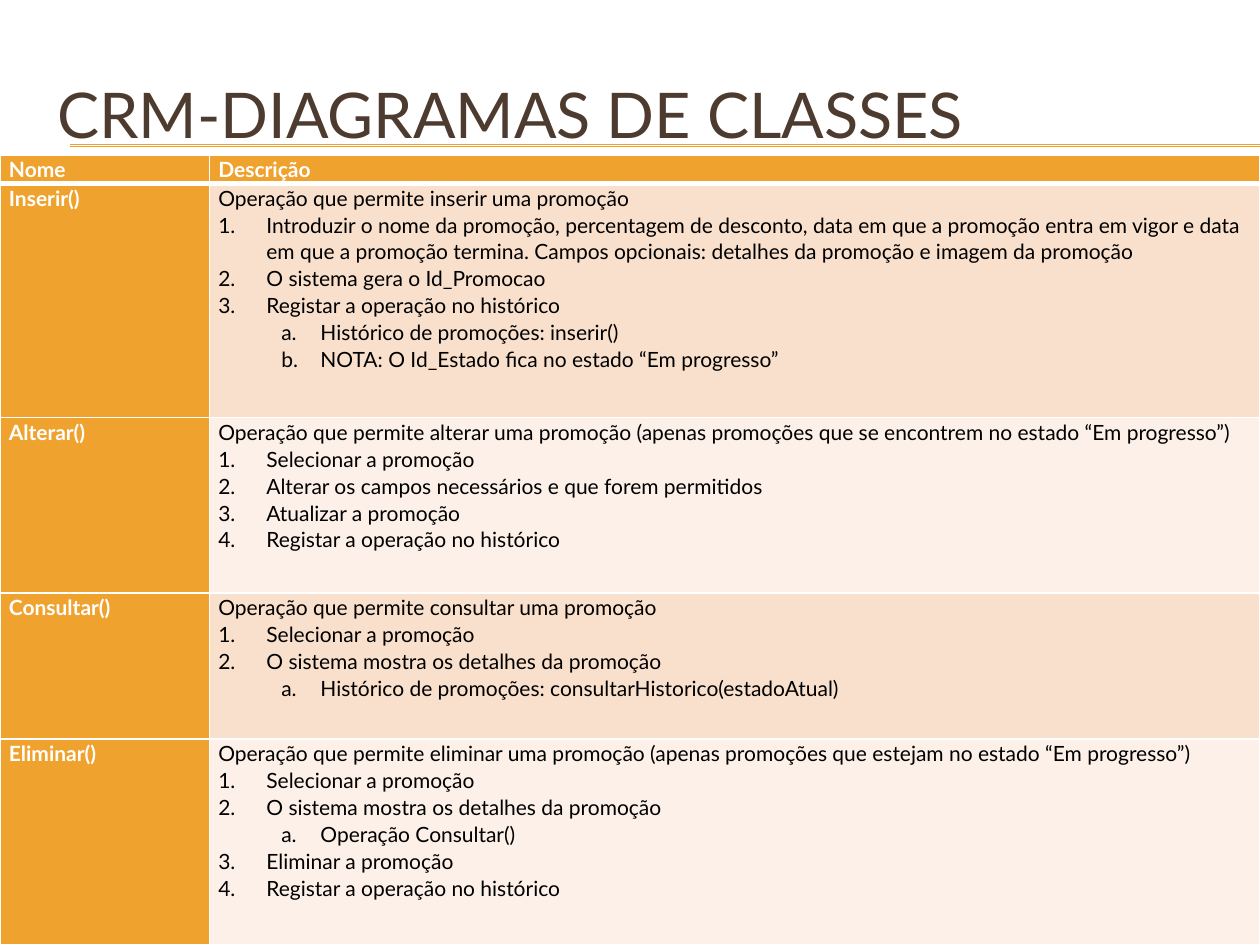
from dataclasses import dataclass

from lxml.etree import SubElement
from pptx import Presentation
from pptx.dml.color import RGBColor
from pptx.enum.text import MSO_ANCHOR as Anchor, MSO_AUTO_SIZE as AutoSize, PP_ALIGN as Align
from pptx.oxml import parse_xml
from pptx.oxml.ns import nsdecls, qn
from pptx.util import Cm, Pt


@dataclass(frozen=True)
class Theme:
    font: str = "Lato"
    title_size: int = 36
    text_size: int = 12
    accent: str = "F0A22E"
    title: str = "4E3B30"
    light: str = "FFFFFF"
    dark: str = "000000"
    bands: tuple = ("F9E0CD", "FCF0E8")
    line_spacing: float = 1.07


THEME = Theme()
TITLE = "CRM-DIAGRAMAS DE CLASSES"
HEADINGS = ("Nome", "Descrição")
COLUMN_WIDTHS = (4.22, 21.18)
HEADER_HEIGHT = 0.58

# List levels: (left margin in cm, hanging indent in cm, numbering)
LEVELS = {1: (0.97, 0.97, "arabicPeriod"), 2: (2.06, 0.79, "alphaLcPeriod")}

# Operation, row height in cm, description as (level, text); level 0 is plain
OPERATIONS = [
    ("Inserir()", 4.72, [
        (0, "Operação que permite inserir uma promoção"),
        (1, "Introduzir o nome da promoção, percentagem de desconto, data em que a promoção "
            "entra em vigor e data em que a promoção termina. Campos opcionais: detalhes da "
            "promoção e imagem da promoção"),
        (1, "O sistema gera o Id_Promocao"),
        (1, "Registar a operação no histórico"),
        (2, "Histórico de promoções: inserir()"),
        (2, "NOTA: O Id_Estado fica no estado “Em progresso”"),
    ]),
    ("Alterar()", 3.53, [
        (0, "Operação que permite alterar uma promoção (apenas promoções que se encontrem "
            "no estado “Em progresso”)"),
        (1, "Selecionar a promoção"),
        (1, "Alterar os campos necessários e que forem permitidos"),
        (1, "Atualizar a promoção"),
        (1, "Registar a operação no histórico"),
    ]),
    ("Consultar()", 2.95, [
        (0, "Operação que permite consultar uma promoção"),
        (1, "Selecionar a promoção"),
        (1, "O sistema mostra os detalhes da promoção"),
        (2, "Histórico de promoções: consultarHistorico(estadoAtual)"),
    ]),
    ("Eliminar()", 4.15, [
        (0, "Operação que permite eliminar uma promoção (apenas promoções que estejam "
            "no estado “Em progresso”)"),
        (1, "Selecionar a promoção"),
        (1, "O sistema mostra os detalhes da promoção"),
        (2, "Operação Consultar()"),
        (1, "Eliminar a promoção"),
        (1, "Registar a operação no histórico"),
    ]),
]


def apply(target, values):
    for name, value in values.items():
        setattr(target, name, value)


def write(paragraph, text, size, color, bold=False):
    run = paragraph.add_run()
    run.text = text
    apply(run.font, {"name": THEME.font, "size": Pt(size), "bold": bold})
    run.font.color.rgb = RGBColor.from_string(color)


def number(paragraph, level):
    margin, hanging, scheme = LEVELS[level]
    paragraph.level = level - 1
    properties = paragraph._p.get_or_add_pPr()
    properties.set("marL", str(Cm(margin)))
    properties.set("indent", str(-Cm(hanging)))
    SubElement(properties, qn("a:buFont"), typeface="+mj-lt")
    SubElement(properties, qn("a:buAutoNum"), type=scheme)


def border(cell, bottom):
    properties = cell._tc.get_or_add_tcPr()
    for index, (side, points) in enumerate({"L": 1, "R": 1, "T": 1, "B": bottom}.items()):
        properties.insert(index, parse_xml(
            f'<a:ln{side} {nsdecls("a")} w="{Pt(points)}"><a:solidFill>'
            f'<a:srgbClr val="{THEME.light}"/></a:solidFill></a:ln{side}>'))


def fill_cell(cell, items, fill, color, bold=False, bottom=1):
    apply(cell, {"margin_left": Cm(0.18), "margin_right": Cm(0.18), "margin_top": 0,
                 "margin_bottom": 0, "vertical_anchor": Anchor.TOP})
    cell.fill.solid()
    cell.fill.fore_color.rgb = RGBColor.from_string(fill)
    border(cell, bottom)
    for index, (level, text) in enumerate(items):
        frame = cell.text_frame
        paragraph = frame.add_paragraph() if index else frame.paragraphs[0]
        paragraph.line_spacing = THEME.line_spacing
        if level:
            number(paragraph, level)
        write(paragraph, text, THEME.text_size, color, bold)


def add_rules(slide, left, top, width):
    # Double rule under the title
    for offset in (0, 0.03):
        rule = slide.shapes.add_connector(1, Cm(left), Cm(top + offset),
                                          Cm(left + width), Cm(top + offset))
        rule.line.width = Pt(0.75)
        rule.line.color.rgb = RGBColor.from_string(THEME.accent)
        SubElement(rule._element.spPr, qn("a:effectLst"))


def add_title(slide, left, top, width, height):
    heading = slide.shapes.title
    apply(heading, {"left": Cm(left), "top": Cm(top), "width": Cm(width), "height": Cm(height)})
    frame = heading.text_frame
    apply(frame, {"word_wrap": True, "auto_size": AutoSize.NONE, "margin_right": 0,
                  "vertical_anchor": Anchor.MIDDLE})
    frame.paragraphs[0].alignment = Align.LEFT
    write(frame.paragraphs[0], TITLE, THEME.title_size, THEME.title)


def add_operations(slide, left, top, width, height):
    table = slide.shapes.add_table(len(OPERATIONS) + 1, len(HEADINGS), Cm(left), Cm(top),
                                   Cm(width), Cm(height)).table
    apply(table, {"first_row": False, "horz_banding": False})
    for column, size in zip(table.columns, COLUMN_WIDTHS):
        column.width = Cm(size)
    # Header row
    table.rows[0].height = Cm(HEADER_HEIGHT)
    for column, heading in enumerate(HEADINGS):
        fill_cell(table.cell(0, column), [(0, heading)], THEME.accent, THEME.light, True, 3)
    # One row for each operation, in alternating bands
    for row, (operation, size, description) in enumerate(OPERATIONS, 1):
        table.rows[row].height = Cm(size)
        fill_cell(table.cell(row, 0), [(0, operation)], THEME.accent, THEME.light, True)
        fill_cell(table.cell(row, 1), description, THEME.bands[(row - 1) % 2], THEME.dark)


def main():
    deck = Presentation()
    apply(deck, {"slide_width": Cm(25.4), "slide_height": Cm(19.05)})
    slide = deck.slides.add_slide(deck.slide_layouts[5])
    add_rules(slide, 1.42, 2.92, 23.98)
    add_title(slide, 0.9, 1.12, 18.8, 2.34)
    add_operations(slide, 0, 3.12, 25.4, 15.93)
    deck.save("out.pptx")


if __name__ == "__main__":
    main()
